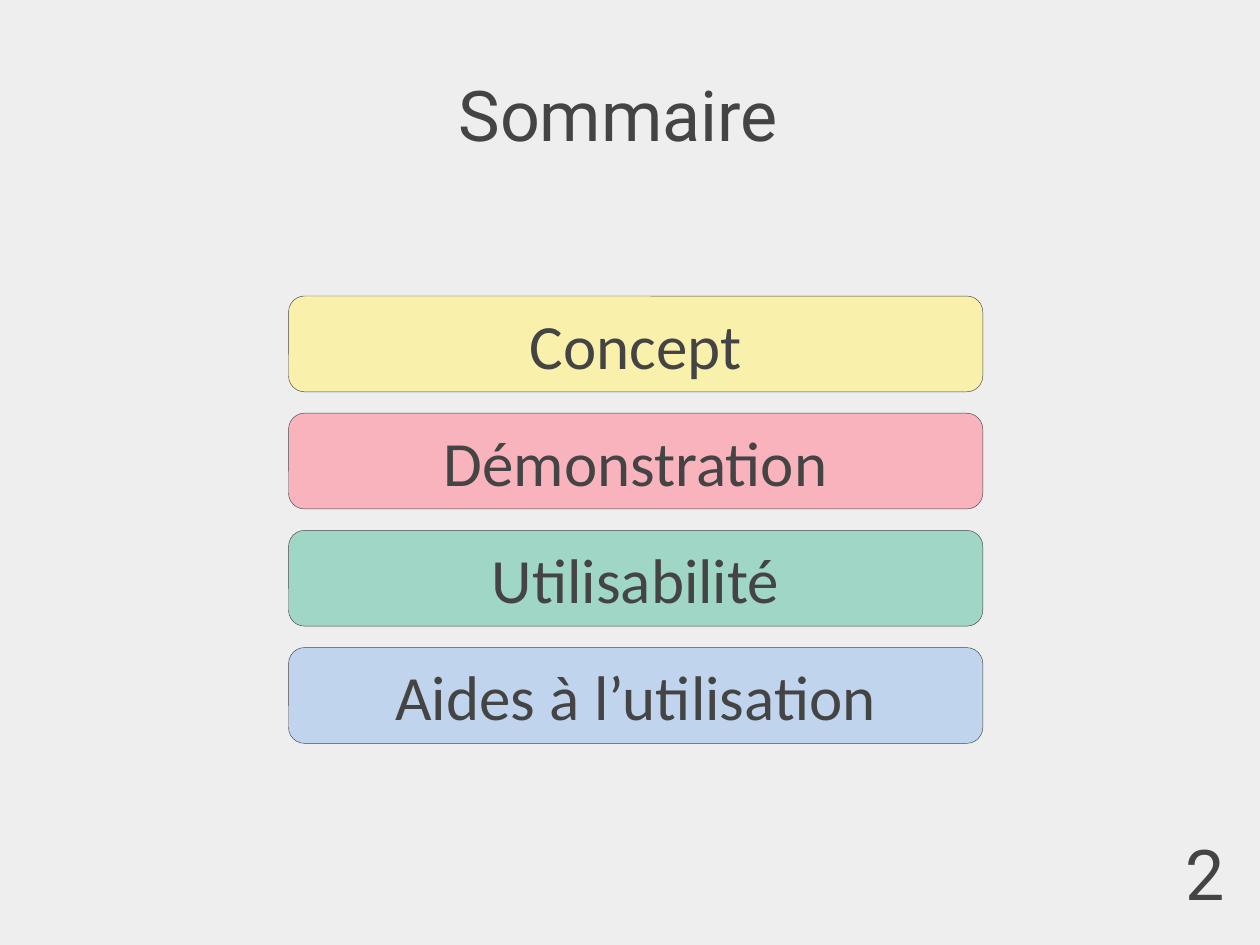
from dataclasses import dataclass

from pptx import Presentation
from pptx.dml.color import RGBColor
from pptx.enum.shapes import MSO_SHAPE
from pptx.enum.text import MSO_ANCHOR, PP_ALIGN
from pptx.util import Inches, Pt


@dataclass(frozen=True)
class Theme:
    background: str = "EEEEEE"
    ink: str = "444444"
    heading_font: str = "Roboto"
    body_font: str = "Calibri"
    heading_size: int = 40
    body_size: int = 36
    line_width: float = 0.25


class SlideBuilder:
    def __init__(self, slide, theme):
        self.slide = slide
        self.theme = theme
        fill = slide.background.fill
        fill.solid()
        fill.fore_color.rgb = RGBColor.from_string(theme.background)

    def set_text(self, tf, text, font, size, align, anchor, wrap=True):
        tf.word_wrap = wrap
        tf.vertical_anchor = anchor
        p = tf.paragraphs[0]
        p.text = text
        p.alignment = align
        p.font.name = font
        p.font.size = Pt(size)
        p.font.color.rgb = RGBColor.from_string(self.theme.ink)

    def set_heading(self, tf, text, wrap=True):
        self.set_text(tf, text, self.theme.heading_font,
                      self.theme.heading_size, PP_ALIGN.LEFT,
                      MSO_ANCHOR.TOP, wrap)

    def title(self, text, left, top, width, height):
        sp = self.slide.shapes.title
        sp.left, sp.top = Inches(left), Inches(top)
        sp.width, sp.height = Inches(width), Inches(height)
        self.set_heading(sp.text_frame, text)

    def page_number(self, text, left, top, width, height):
        sp = self.slide.shapes.add_textbox(
            Inches(left), Inches(top), Inches(width), Inches(height))
        self.set_heading(sp.text_frame, text, wrap=False)

    def bar(self, text, color, left, top, width, height):
        sp = self.slide.shapes.add_shape(
            MSO_SHAPE.ROUNDED_RECTANGLE,
            Inches(left), Inches(top), Inches(width), Inches(height))
        sp.shadow.inherit = False
        sp.fill.solid()
        sp.fill.fore_color.rgb = RGBColor.from_string(color)
        sp.line.color.rgb = RGBColor.from_string(self.theme.ink)
        sp.line.width = Pt(self.theme.line_width)
        self.set_text(sp.text_frame, text, self.theme.body_font,
                      self.theme.body_size, PP_ALIGN.CENTER,
                      MSO_ANCHOR.MIDDLE)


def main():
    prs = Presentation()
    prs.slide_width, prs.slide_height = Inches(10), Inches(7.5)
    title_only = prs.slide_layouts[5]
    s = SlideBuilder(prs.slides.add_slide(title_only), Theme())

    # Heading
    s.title("Sommaire", 3.54, 0.52, 3.07, 0.77)

    # Agenda bars, evenly stacked
    agenda = [
        ("Concept", "F9F0AB"),
        ("Démonstration", "F9B3BD"),
        ("Utilisabilité", "A0D6C6"),
        ("Aides à l’utilisation", "C0D4ED"),
    ]
    first_top, pitch = 2.35, 0.93
    for i, (text, color) in enumerate(agenda):
        s.bar(text, color, 2.29, first_top + i * pitch, 5.51, 0.76)

    # Page number
    s.page_number("2", 9.31, 6.54, 0.48, 0.77)

    prs.save("out.pptx")


if __name__ == "__main__":
    main()
